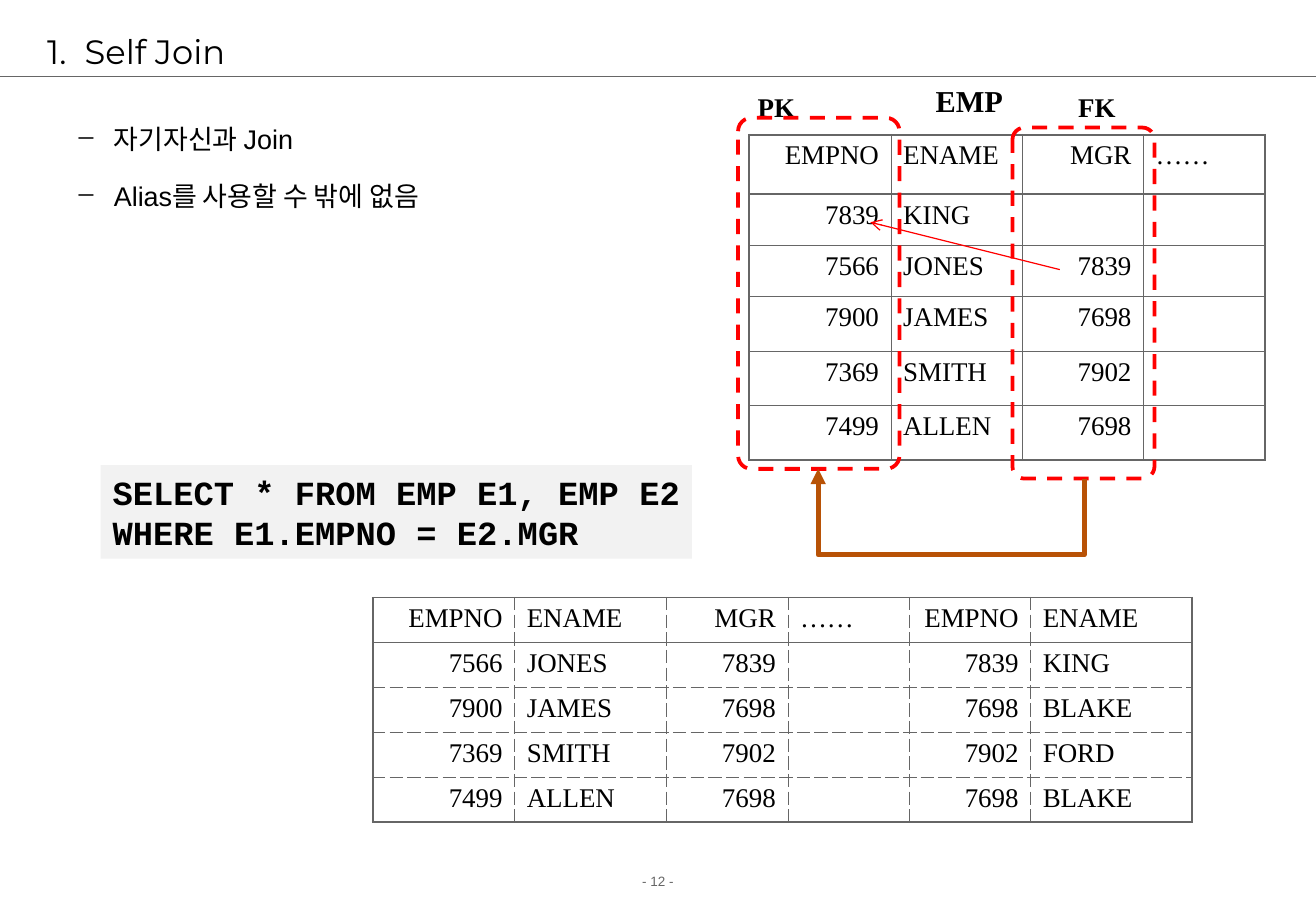
from lxml.etree import SubElement
from pptx import Presentation
from pptx.dml.color import RGBColor
from pptx.enum.dml import MSO_LINE
from pptx.enum.shapes import MSO_CONNECTOR as Link, MSO_SHAPE as Preset
from pptx.enum.text import MSO_ANCHOR as Anchor, PP_ALIGN as Align
from pptx.oxml import parse_xml
from pptx.oxml.ns import nsdecls, qn
from pptx.util import Inches, Pt

WIDTH, HEIGHT = 10.84, 7.5
BLACK, GREY, RED, BROWN, PALE = "000000", "666666", "FF0000", "B85206", "F2F2F2"
SERIF = "Times New Roman"

TITLE = "Self Join"
POINTS = ["자기자신과 Join", "Alias를 사용할 수 밖에 없음"]
QUERY = ["SELECT * FROM EMP E1, EMP E2", "WHERE E1.EMPNO = E2.MGR"]
PAGE = "- 12 -"

EMP_ROWS = [
    ("EMPNO", "ENAME", "MGR", "……"),
    ("7839", "KING", "", ""),
    ("7566", "JONES", "7839", ""),
    ("7900", "JAMES", "7698", ""),
    ("7369", "SMITH", "7902", ""),
    ("7499", "ALLEN", "7698", ""),
]
JOINED_ROWS = [
    ("EMPNO", "ENAME", "MGR", "……", "EMPNO", "ENAME"),
    ("7566", "JONES", "7839", "", "7839", "KING"),
    ("7900", "JAMES", "7698", "", "7698", "BLAKE"),
    ("7369", "SMITH", "7902", "", "7902", "FORD"),
    ("7499", "ALLEN", "7698", "", "7698", "BLAKE"),
]
NUMBER_COLUMNS = ("EMPNO", "MGR")
THIN, THICK = 0.45, 1.08

# text, left, top, width, height, size
TABLE_LABELS = [
    ("EMP", 7.51, 0.63, 0.95, 0.40, 18),
    ("PK", 6.09, 0.70, 0.61, 0.37, 16),
    ("FK", 8.73, 0.70, 0.61, 0.37, 16),
]
# left, top, width, height, corner radius
KEY_FRAMES = [(6.08, 0.97, 1.33, 2.89, 0.11), (8.34, 1.05, 1.17, 2.89, 0.10)]
FK_START, PK_END, LINK_BOTTOM = (8.93, 3.94), (6.74, 3.86), 4.57


def rgb(code):
    return RGBColor.from_string(code)


def add_text(paragraph, text, size, font, color=BLACK, bold=False):
    run = paragraph.add_run()
    run.text = text
    run.font.size, run.font.name, run.font.bold = Pt(size), font, bold
    run.font.color.rgb = rgb(color)


def add_box(left, top, width, height, wrap=True):
    frame = slide.shapes.add_textbox(*map(Inches, (left, top, width, height))).text_frame
    frame.word_wrap = wrap
    return frame


def set_bullet(paragraph, margin, hang, color, tag, **kind):
    """Give the paragraph a hanging indent and a bullet or number."""
    props = paragraph._p.get_or_add_pPr()
    props.set("marL", str(Inches(margin)))
    props.set("indent", str(-Inches(hang)))
    SubElement(SubElement(props, qn("a:buClr")), qn("a:srgbClr"), val=color)
    SubElement(props, qn(tag), **kind)


def add_line(kind, start, end, color, width, head=None):
    line = slide.shapes.add_connector(kind, *map(Inches, start + end))
    line.line.color.rgb = rgb(color)
    line.line.width = Pt(width)
    if head:
        SubElement(line.line._get_or_add_ln(), qn("a:tailEnd"), type=head)
    SubElement(line._element.spPr, qn("a:effectLst"))
    return line


def set_borders(cell, borders):
    """Draw left, right, top and bottom from (width, dash) pairs."""
    props = cell._tc.get_or_add_tcPr()
    for index, (side, (width, dash)) in enumerate(zip("LRTB", borders)):
        props.insert(index, parse_xml(
            f'<a:ln{side} {nsdecls("a")} w="{Pt(width)}"><a:solidFill>'
            f'<a:srgbClr val="{GREY}"/></a:solidFill><a:prstDash val="{dash}"/></a:ln{side}>'))


def add_grid(rows, left, top, widths, heights, header_rule, inner_dash):
    last_row, last_col = len(rows) - 1, len(widths) - 1
    table = slide.shapes.add_table(
        len(rows), len(widths), *map(Inches, (left, top, sum(widths), sum(heights)))).table
    table.first_row = table.horz_banding = False
    outer, inner = (THICK, "solid"), (THIN, inner_dash)
    across = [outer, (header_rule, "solid")] + [inner] * (last_row - 1) + [outer]
    down = [outer] + [inner] * last_col + [outer]
    for column, width in zip(table.columns, widths):
        column.width = Inches(width)
    for r, row in enumerate(rows):
        table.rows[r].height = Inches(heights[r])
        for c, text in enumerate(row):
            cell = table.cell(r, c)
            cell.fill.background()
            set_borders(cell, (down[c], down[c + 1], across[r], across[r + 1]))
            paragraph = cell.text_frame.paragraphs[0]
            paragraph.alignment = Align.RIGHT if rows[0][c] in NUMBER_COLUMNS else Align.LEFT
            paragraph.space_before = Pt(4)
            if text:
                add_text(paragraph, text, 16, SERIF)
            else:
                SubElement(paragraph._p, qn("a:endParaRPr"), sz="1600")


prs = Presentation()
prs.slide_width, prs.slide_height = Inches(WIDTH), Inches(HEIGHT)
slide = prs.slides.add_slide(prs.slide_layouts[6])

page = add_box(0, 7.14, WIDTH, 0.24).paragraphs[0]
page.alignment = Align.CENTER
page.space_before = Pt(5)
add_text(page, PAGE, 8, "Arial", GREY)

add_line(Link.STRAIGHT, (0, 0.63), (WIDTH, 0.63), GREY, 0.75)
title = add_box(0.29, 0.21, 10.17, 0.42)
title.vertical_anchor = Anchor.MIDDLE
set_bullet(title.paragraphs[0], 0.31, 0.31, BLACK, "a:buAutoNum", type="arabicPeriod")
add_text(title.paragraphs[0], TITLE, 20, "Montserrat")

body = add_box(0.29, 0.83, 10.17, 5.75)
for i, point in enumerate(POINTS):
    paragraph = body.add_paragraph() if i else body.paragraphs[0]
    paragraph.line_spacing, paragraph.space_before = 1.5, Pt(5)
    set_bullet(paragraph, 0.55, 0.29, "333333", "a:buChar", char="–")
    add_text(paragraph, point, 16, "Arial")

add_grid(EMP_ROWS, 6.17, 1.11, [1.17, 1.08, 1, 1],
         [0.49] + [0.42] * 2 + [0.45] * 3, THICK, "solid")
add_grid(JOINED_ROWS, 3.07, 4.92, [1.17, 1.25, 1, 1, 1, 1.33],
         [0.37] * len(JOINED_ROWS), THIN, "dash")

for text, left, top, width, height, size in TABLE_LABELS:
    label = add_box(left, top, width, height, wrap=False).paragraphs[0]
    label.alignment = Align.CENTER
    add_text(label, text, size, SERIF, bold=True)

for left, top, width, height, radius in KEY_FRAMES:
    frame = slide.shapes.add_shape(
        Preset.ROUNDED_RECTANGLE, *map(Inches, (left, top, width, height)))
    frame.adjustments[0] = radius / width
    frame.shadow.inherit = False
    frame.fill.background()
    frame.line.color.rgb = rgb(RED)
    frame.line.width = Pt(2.25)
    frame.line.dash_style = MSO_LINE.DASH

# The elbow is laid out upright around its centre, then turned by 270 degrees.
(fk_x, fk_y), (pk_x, pk_y) = FK_START, PK_END
mid_x, mid_y = (fk_x + pk_x) / 2, (fk_y + pk_y) / 2
rise, span = fk_y - pk_y, fk_x - pk_x
elbow = add_line(Link.ELBOW, (mid_x - rise / 2, mid_y + span / 2),
                 (mid_x + rise / 2, mid_y - span / 2), BROWN, 3, "triangle")
elbow._element.spPr.find(qn("a:xfrm")).set("rot", str(270 * 60000))
bend = round((fk_y - LINK_BOTTOM) / rise * 100000)
SubElement(elbow._element.spPr.find(qn("a:prstGeom")).find(qn("a:avLst")),
           qn("a:gd"), name="adj1", fmla=f"val {bend}")

add_line(Link.STRAIGHT, (8.73, 2.22), (7.17, 1.83), RED, 0.75, "arrow")

query = slide.shapes.add_shape(Preset.RECTANGLE, *map(Inches, (0.83, 3.83, 4.87, 0.77)))
query.shadow.inherit = False
query.fill.solid()
query.fill.fore_color.rgb = rgb(PALE)
query.line.fill.background()
query.text_frame.word_wrap = False
statement = query.text_frame.paragraphs[0]
statement.alignment = Align.LEFT
for i, text in enumerate(QUERY):
    if i:
        statement.add_line_break()
    add_text(statement, text, 20, "Courier New", bold=True)

prs.save("out.pptx")
